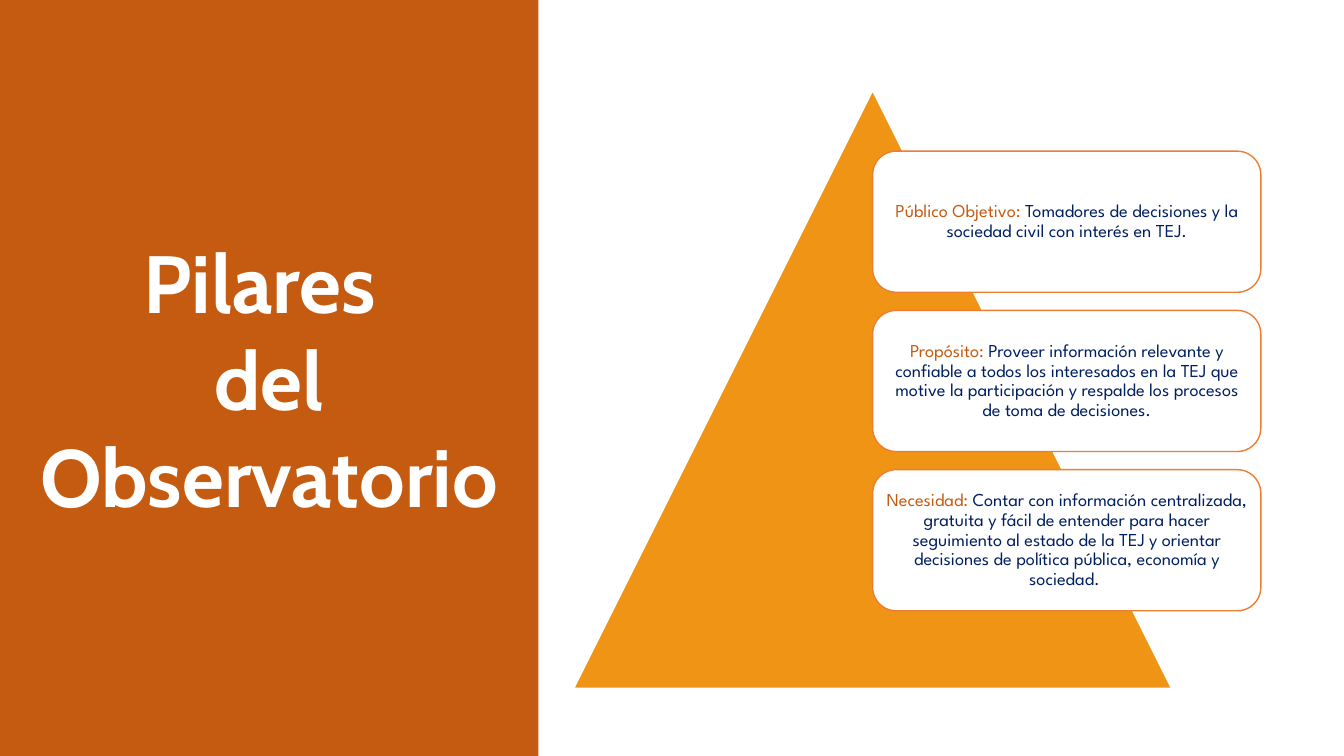
import pptx
import pptx.dml.color
import pptx.enum.shapes
import pptx.enum.text
import pptx.util

Inches = pptx.util.Inches
SHAPES = pptx.enum.shapes.MSO_SHAPE
COLORS = {
    "panel": "C55A11",
    "pyramid": "F09415",
    "border": "ED7D31",
    "body": "002060",
    "white": "FFFFFF",
}
PILLARS = [
    ("Público Objetivo: ",
     "Tomadores de decisiones y la sociedad civil con interés en TEJ."),
    ("Propósito: ",
     "Proveer información relevante y confiable a todos los interesados en la TEJ "
     "que motive la participación y respalde los procesos de toma de decisiones."),
    ("Necesidad: ",
     "Contar con información centralizada, gratuita y fácil de entender para hacer "
     "seguimiento al estado de la TEJ y orientar decisiones de política pública, "
     "economía y sociedad. "),
]


def add_filled_shape(kind, left, top, width, height, fill, line=None):
    """Add a shadowless shape, measured in inches, with centred wrapped text."""
    shape = slide.shapes.add_shape(
        kind, Inches(left), Inches(top), Inches(width), Inches(height))
    shape.shadow.inherit = False
    shape.fill.solid()
    shape.fill.fore_color.rgb = pptx.dml.color.RGBColor.from_string(COLORS[fill])
    if line:
        shape.line.color.rgb = pptx.dml.color.RGBColor.from_string(COLORS[line])
        shape.line.width = pptx.util.Pt(1)
    else:
        shape.line.fill.background()
    shape.text_frame.word_wrap = True
    shape.text_frame.vertical_anchor = pptx.enum.text.MSO_ANCHOR.MIDDLE
    return shape


def format_run(run, font_name, size, color, bold=False):
    run.font.name = font_name
    run.font.size = pptx.util.Pt(size)
    run.font.bold = bold
    run.font.color.rgb = pptx.dml.color.RGBColor.from_string(COLORS[color])


presentation = pptx.Presentation()
presentation.slide_width = Inches(13.33)
presentation.slide_height = Inches(7.5)
slide = presentation.slides.add_slide(presentation.slide_layouts[6])

# Pyramid with its column of pillar cards
pyramid_left, pyramid_top, pyramid_size = 5.69, 0.9, 5.93
add_filled_shape(SHAPES.ISOSCELES_TRIANGLE, pyramid_left, pyramid_top,
                 pyramid_size, pyramid_size, "pyramid", "white")

card_left = pyramid_left + pyramid_size / 2
card_top, card_width, card_height, card_pitch = 1.5, 3.85, 1.4, 1.58
for row, (heading, description) in enumerate(PILLARS):
    card = add_filled_shape(SHAPES.ROUNDED_RECTANGLE, card_left, card_top + row * card_pitch,
                            card_width, card_height, "white", "border")
    frame = card.text_frame
    frame.margin_left = frame.margin_right = Inches(0.05)
    frame.margin_top = frame.margin_bottom = Inches(0.05)
    paragraph = frame.paragraphs[0]
    paragraph.alignment = pptx.enum.text.PP_ALIGN.CENTER
    paragraph.line_spacing = 0.9
    for text, color in ((heading, "panel"), (description, "body")):
        run = paragraph.add_run()
        run.text = text
        format_run(run, "League Spartan", 13, color)

# Title panel over the left two fifths
title_panel = add_filled_shape(SHAPES.RECTANGLE, 0, 0, 5.34, 7.5, "panel")
title_panel.text_frame.text = "Pilares \ndel Observatorio"
for paragraph in title_panel.text_frame.paragraphs:
    paragraph.alignment = pptx.enum.text.PP_ALIGN.CENTER
    format_run(paragraph.runs[0], "Cabin", 58, "white", bold=True)

presentation.save("out.pptx")
